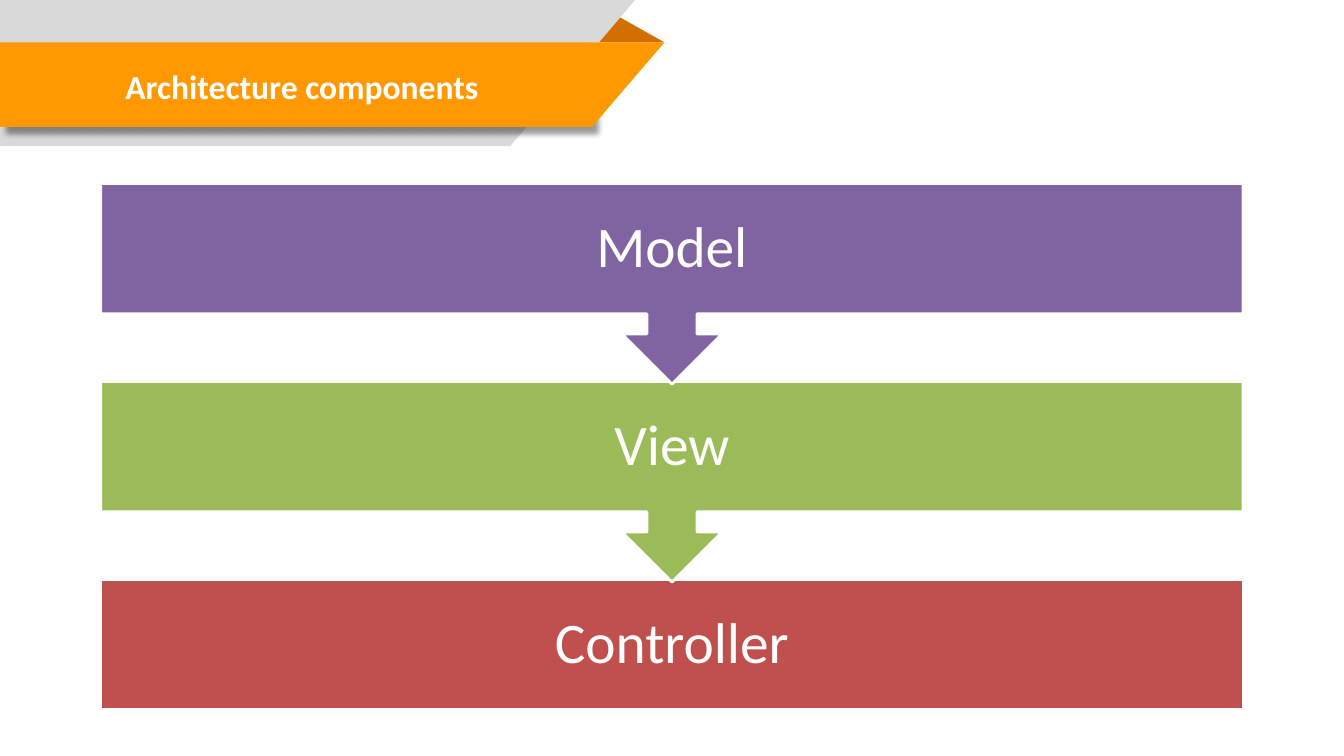
from lxml import etree
from pptx import Presentation
from pptx import util as u
from pptx.dml.color import RGBColor
from pptx.enum import shapes, text
from pptx.oxml import ns

SHAPE = shapes.MSO_SHAPE


def rgb(value):
    return RGBColor.from_string(value)


def write(tf, content, size=24, bold=False, inset=0.1, spacing=1.0):
    """Put one centred line of white text in a text frame."""
    tf.word_wrap = True
    tf.auto_size = text.MSO_AUTO_SIZE.NONE
    tf.vertical_anchor = text.MSO_ANCHOR.MIDDLE
    tf.margin_left = tf.margin_right = u.Inches(inset)
    tf.margin_top = tf.margin_bottom = u.Inches(min(inset, 0.32) if inset > 0.1 else 0.05)
    p = tf.paragraphs[0]
    p.alignment = text.PP_ALIGN.CENTER
    p.line_spacing = spacing
    r = p.add_run()
    r.text = content
    r.font.name = SlideBuilder.FONT
    r.font.size = u.Pt(size)
    r.font.bold = bold
    r.font.color.rgb = rgb(SlideBuilder.WHITE)


class SlideBuilder:
    FONT = "Calibri"
    WHITE = "FFFFFF"
    GREY = "D9D9D9"
    ORANGE = "FF9801"
    DARK_ORANGE = "D26F00"

    def __init__(self, prs):
        self.s = prs.slides.add_slide(prs.slide_layouts[5])

    def shape(self, kind, x, y, w, h, fill, outline=None):
        sp = self.s.shapes.add_shape(kind, *map(u.Inches, (x, y, w, h)))
        sp.shadow.inherit = False
        sp.fill.solid()
        sp.fill.fore_color.rgb = rgb(fill)
        if outline:
            sp.line.color.rgb = rgb(outline)
            sp.line.width = u.Pt(2)
        else:
            sp.line.fill.background()
        return sp

    def ribbon(self, y, body, tip, h, fill):
        """A bar from the left edge that ends in a slanted tip."""
        bar = self.shape(SHAPE.RECTANGLE, 0, y, body, h, fill)
        end = self.shape(SHAPE.RIGHT_TRIANGLE, body, y, tip, h, fill)
        end.rotation = 180
        end.element.spPr.find(ns.qn("a:xfrm")).set("flipH", "1")
        return bar

    def drop_shadow(self, sp):
        effects = sp.element.spPr.find(ns.qn("a:effectLst"))
        shadow = etree.SubElement(
            effects, ns.qn("a:outerShdw"), blurRad=str(u.Pt(4)),
            dist=str(u.Pt(6)), dir=str(45 * 60000), algn="tl", rotWithShape="0")
        color = etree.SubElement(shadow, ns.qn("a:srgbClr"), val="000000")
        etree.SubElement(color, ns.qn("a:alpha"), val="40000")

    def title(self, content, x, y, w, h):
        sp = self.s.shapes.title
        sp.left, sp.top, sp.width, sp.height = map(u.Inches, (x, y, w, h))
        write(sp.text_frame, content, bold=True)
        # Bring the title in front of the ribbon
        self.s.shapes.element.append(sp.element)

    def step(self, kind, content, y, h, fill):
        sp = self.shape(kind, 1, y, 11.33, h, fill, self.WHITE)
        write(sp.text_frame, content, size=41, inset=0.32, spacing=0.9)
        return sp


def main():
    prs = Presentation()
    prs.slide_width, prs.slide_height = u.Inches(13.33), u.Inches(7.5)
    b = SlideBuilder(prs)

    # Title ribbon
    fold = b.shape(SHAPE.ISOSCELES_TRIANGLE, 5.86, 0.14, 0.73, 0.28, b.DARK_ORANGE)
    fold.adjustments[0] = 0.32
    b.ribbon(0, 5.06, 1.24, 1.45, b.GREY)
    b.drop_shadow(b.ribbon(0.42, 5.87, 0.72, 0.84, b.ORANGE))
    b.title("Architecture components", 0.13, 0.44, 5.73, 0.82)

    # Process steps, last one first so that each arrow overlaps the next box
    first, last = 1.82, 5.75
    pitch = (last - first) / 2
    b.step(SHAPE.RECTANGLE, "Controller", last, 1.29, "C0504D")
    for i, content, fill in ((1, "View", "9BBB59"), (0, "Model", "8064A2")):
        b.step(SHAPE.DOWN_ARROW_CALLOUT, content, first + i * pitch, 1.99, fill)

    prs.save("out.pptx")


if __name__ == "__main__":
    main()
